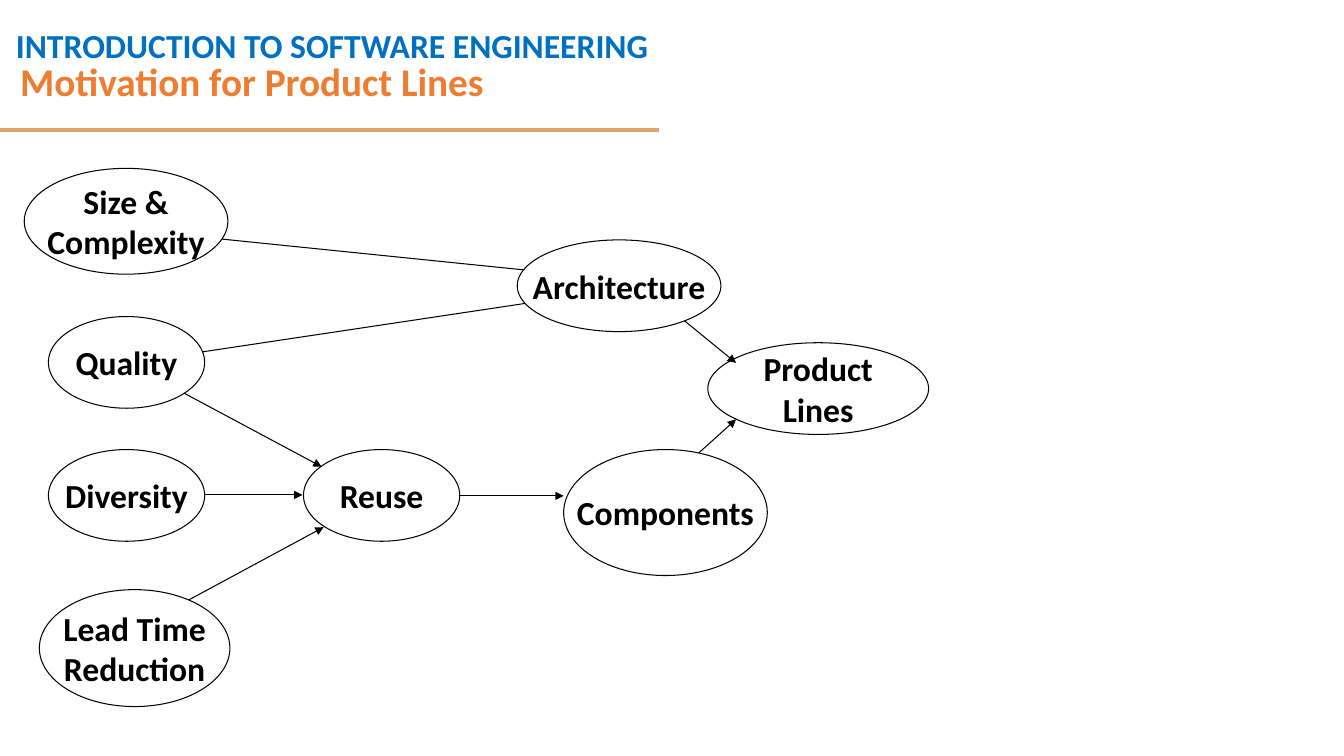
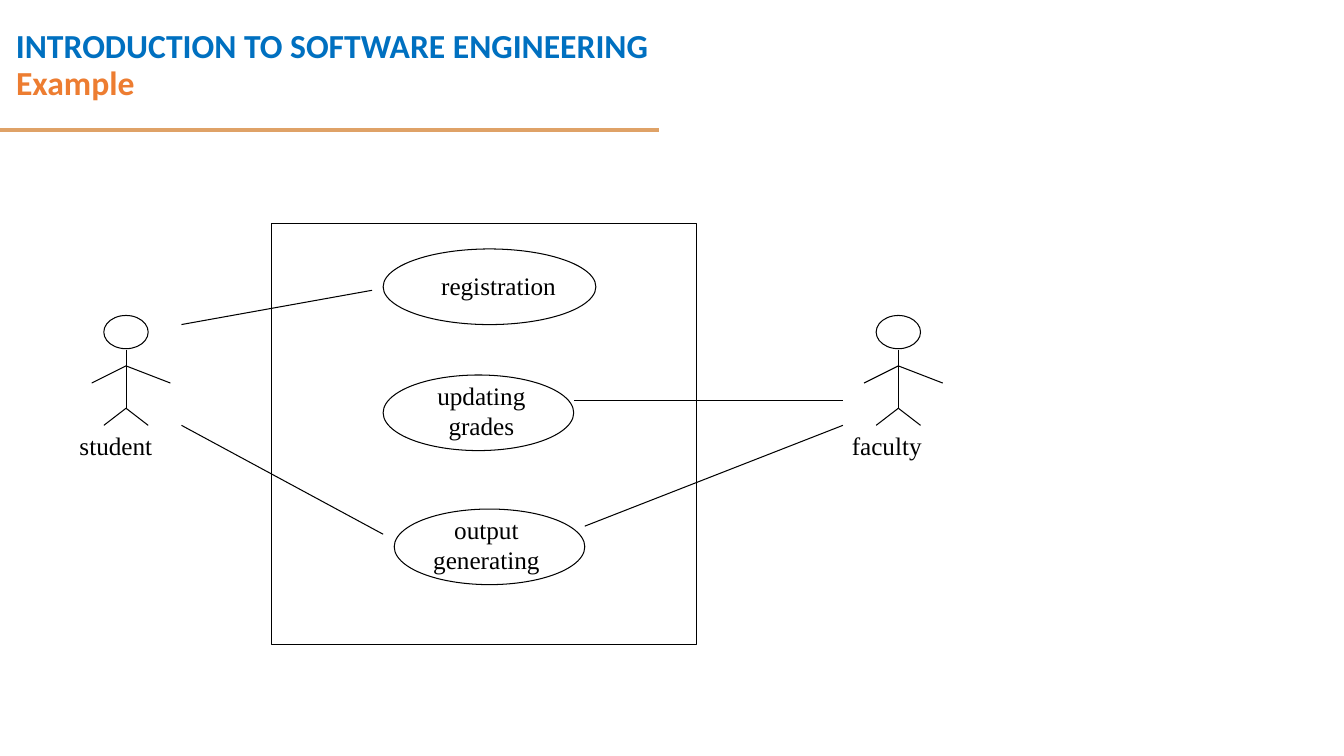
from lxml import etree
from pptx import Presentation, util as u
from pptx.dml.color import RGBColor
from pptx.enum import shapes as kinds, text as t
from pptx.oxml.ns import qn

COLOURS = {"course": "0070C0", "title": "ED7D31", "rule": "DFA267",
           "ink": "000000", "paper": "FFFFFF"}
SANS, SERIF = "Calibri", "Times New Roman"
WIDTH, HEIGHT = 13.33, 7.5

COURSE = "INTRODUCTION TO SOFTWARE ENGINEERING"

# Slide 1: (text, box, filled) and (from, to)
FACTORS = [
    ("Size &\vComplexity", (0.24, 1.67, 2.02, 1.05), True),
    ("Quality", (0.48, 3.14, 1.55, 0.91), True),
    ("Diversity", (0.48, 4.46, 1.55, 0.91), True),
    ("Lead Time\nReduction", (0.39, 5.85, 1.89, 1.16), True),
    ("Architecture", (5.13, 2.38, 2.02, 0.91), True),
    ("Reuse", (3.01, 4.46, 1.55, 0.91), True),
    ("Components", (5.59, 4.46, 2.02, 1.25), True),
    ("Product\nLines", (7.02, 3.4, 2.19, 0.91), False),
]
INFLUENCES = [
    ((1.3, 2.28), (5.61, 2.72)), ((1.28, 3.6), (5.61, 2.95)),
    ((1.32, 3.63), (3.19, 4.63)), ((1.32, 6.25), (3.21, 5.23)),
    ((1.32, 4.91), (3, 4.91)), ((4.56, 4.92), (5.59, 4.92)),
    ((6.37, 2.84), (7.3, 3.6)), ((6.37, 5), (7.3, 4.16)),
]

# Slide 2: actors (name, centre), use cases (text, ellipse, label box)
SYSTEM = (2.69, 2.22, 4.22, 4.17)
ACTORS = [("student", 1.25), ("faculty", 8.91)]
USE_CASES = [
    ("registration", (3.8, 2.47, 2.11, 0.75), (3.98, 2.63, 1.93, 0.4)),
    ("updating\ngrades", (3.8, 3.72, 1.89, 0.75), (3.91, 3.72, 1.73, 0.7)),
    ("output\ngenerating", (3.91, 5.05, 1.89, 0.75), (3.96, 5.05, 1.73, 0.7)),
]
USES = [
    ((1.8, 3.22), (3.69, 2.88)), ((1.8, 4.22), (3.8, 5.3)),
    ((8.36, 3.97), (5.69, 3.97)), ((8.36, 4.22), (5.8, 5.22)),
]
# Actor figure: head top, then limbs as offsets from the centre line
HEAD_TOP, HEAD_SIZE = 3.13, (0.44, 0.33)
NECK, SHOULDER, HIP, HAND, FOOT = 3.47, 3.63, 4.05, 3.8, 4.22
LIMBS = [((0, NECK), (0, HIP)),
         ((0, SHOULDER), (0.44, HAND)), ((0, SHOULDER), (-0.34, HAND)),
         ((0, HIP), (0.22, FOOT)), ((0, HIP), (-0.22, FOOT))]


def rgb(name):
    return RGBColor.from_string(COLOURS[name])


def inches(values):
    return [u.Inches(v) for v in values]


def write(frame, content, size, face=SANS, colour="ink", bold=False,
          align=t.PP_ALIGN.LEFT, spacing=None, anchor=t.MSO_ANCHOR.TOP, wrap=True):
    frame.text = content
    frame.word_wrap = wrap
    frame.auto_size = t.MSO_AUTO_SIZE.NONE
    frame.vertical_anchor = anchor
    for paragraph in frame.paragraphs:
        paragraph.alignment = align
        if spacing:
            paragraph.line_spacing = spacing
        font = paragraph.font
        font.name, font.size, font.bold = face, u.Pt(size), bold
        font.color.rgb = rgb(colour)


def add_label(shapes, content, box, size, **style):
    label = shapes.add_textbox(*inches(box))
    write(label.text_frame, content, size, **style)
    return label


def add_line(shapes, start, end, colour="ink", weight=0.75, arrow=False):
    line = shapes.add_connector(kinds.MSO_CONNECTOR.STRAIGHT, *inches(start + end))
    line.line.color.rgb = rgb(colour)
    line.line.width = u.Pt(weight)
    if arrow:
        etree.SubElement(line.line._get_or_add_ln(), qn("a:tailEnd"), type="triangle")
    etree.SubElement(line.element.spPr, qn("a:effectLst"))
    return line


def add_outline(shapes, kind, box, filled=False):
    outline = shapes.add_shape(kind, *inches(box))
    outline.shadow.inherit = False
    if filled:
        outline.fill.solid()
        outline.fill.fore_color.rgb = rgb("paper")
    else:
        outline.fill.background()
    outline.line.color.rgb = rgb("ink")
    outline.line.width = u.Pt(0.75)
    return outline


def add_course_band(slide, layout):
    """Draw the course name and rule, then move them to the shared layout."""
    name = add_label(slide.shapes, COURSE, (0.06, 0, 9.87, 0.7), 24,
                     colour="course", bold=True, spacing=1.5)
    rule = add_line(slide.shapes, (0, 1.29), (6.54, 1.29), "rule", 3)
    for part in (name, rule):
        layout.shapes.element.append(part.element)


def add_slide(deck, layout, heading, box, size):
    slide = deck.slides.add_slide(layout)
    title = slide.shapes.title
    title.left, title.top, title.width, title.height = inches(box)
    write(title.text_frame, heading, size, colour="title", bold=True,
          spacing=0.9, anchor=t.MSO_ANCHOR.MIDDLE)
    return slide


def draw_motivation(shapes):
    for start, end in INFLUENCES:
        add_line(shapes, start, end, arrow=True)
    for content, box, filled in FACTORS:
        factor = add_outline(shapes, kinds.MSO_SHAPE.OVAL, box, filled)
        write(factor.text_frame, content, 24, bold=True, wrap=False,
              align=t.PP_ALIGN.CENTER, anchor=t.MSO_ANCHOR.MIDDLE)


def draw_actor(shapes, name, centre):
    figure = shapes.add_group_shape().shapes
    head_left = centre - HEAD_SIZE[0] / 2
    add_outline(figure, kinds.MSO_SHAPE.OVAL, (head_left, HEAD_TOP) + HEAD_SIZE)
    for (x1, y1), (x2, y2) in LIMBS:
        add_line(figure, (centre + x1, y1), (centre + x2, y2))
    add_label(figure, name, (centre - 0.56, FOOT, 1.44, 0.4), 18, face=SERIF)


def draw_use_cases(shapes):
    for content, ellipse, label in USE_CASES:
        add_outline(shapes, kinds.MSO_SHAPE.OVAL, ellipse)
        add_label(shapes, content, label, 18, face=SERIF, align=t.PP_ALIGN.CENTER)
    for name, centre in ACTORS:
        draw_actor(shapes, name, centre)
    for start, end in USES:
        add_line(shapes, start, end)
    add_outline(shapes, kinds.MSO_SHAPE.RECTANGLE, SYSTEM)


def main():
    deck = Presentation()
    deck.slide_width, deck.slide_height = inches((WIDTH, HEIGHT))
    layout = deck.slide_layouts[5]

    motivation = add_slide(deck, layout, "Motivation for Product Lines",
                           (0.1, 0.53, 11.5, 0.61), 28)
    add_course_band(motivation, layout)
    draw_motivation(motivation.shapes)

    example = add_slide(deck, layout, "Example", (0.06, 0.4, 7.8, 0.88), 24)
    draw_use_cases(example.shapes)

    deck.save("out.pptx")


if __name__ == "__main__":
    main()
